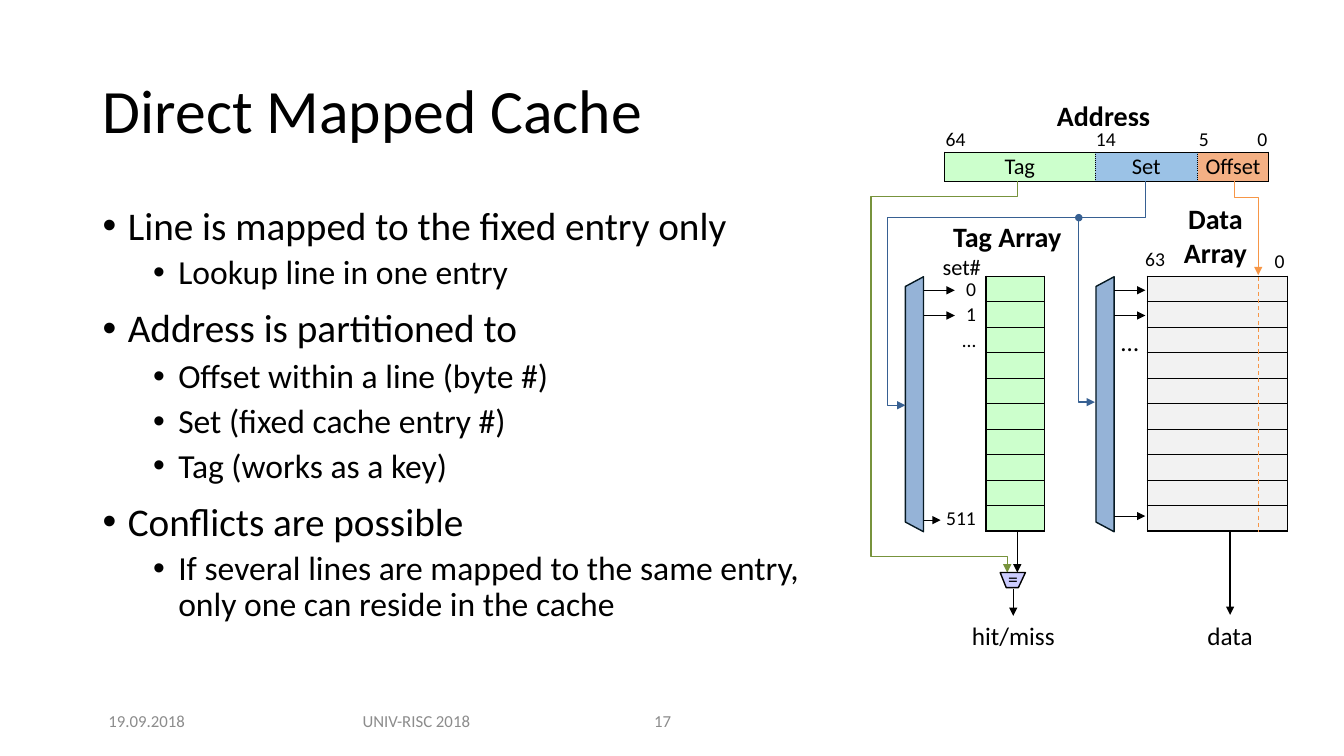
from lxml.etree import SubElement
from pptx import Presentation
from pptx.dml.color import RGBColor
from pptx.enum.dml import MSO_LINE
from pptx.enum.shapes import MSO_CONNECTOR, MSO_SHAPE
from pptx.enum.text import MSO_ANCHOR, PP_ALIGN
from pptx.oxml.ns import qn
from pptx.util import Inches, Pt

LEFT, CENTER, RIGHT = PP_ALIGN.LEFT, PP_ALIGN.CENTER, PP_ALIGN.RIGHT
TOP, MIDDLE, BOTTOM = MSO_ANCHOR.TOP, MSO_ANCHOR.MIDDLE, MSO_ANCHOR.BOTTOM
STRAIGHT = MSO_CONNECTOR.STRAIGHT
DASH = MSO_LINE.DASH

BLACK = RGBColor(0x00, 0x00, 0x00)
WHITE = RGBColor(0xFF, 0xFF, 0xFF)
GRAY = RGBColor(0x8C, 0x8C, 0x8C)
LIGHT_GRAY = RGBColor(0xF2, 0xF2, 0xF2)
TAG_GREEN = RGBColor(0xCC, 0xFF, 0xCC)
SET_BLUE = RGBColor(0x9B, 0xC2, 0xE6)
OFFSET_ORANGE = RGBColor(0xF4, 0xB0, 0x84)
DECODER_BLUE = RGBColor(0x95, 0xB3, 0xD7)
DECODER_EDGE = RGBColor(0x06, 0x19, 0x22)
COMPARE_LILAC = RGBColor(0xCC, 0xCC, 0xFF)
TAG_LINE = RGBColor(0x77, 0x93, 0x3C)
SET_LINE = RGBColor(0x37, 0x60, 0x92)
OFFSET_LINE = RGBColor(0xF7, 0x96, 0x46)


def write(frame, text, size=14, bold=False, color=BLACK, align=LEFT, spacing=None, before=None):
    """Add one paragraph to a text frame."""
    paragraph = frame.add_paragraph() if frame.text else frame.paragraphs[0]
    paragraph.text = text
    paragraph.alignment = align
    paragraph.line_spacing = spacing
    if before is not None:
        paragraph.space_before = Pt(before)
    for run in paragraph.runs:
        run.font.name, run.font.size, run.font.bold = "Calibri", Pt(size), bold
        run.font.color.rgb = color
    if not text:
        SubElement(paragraph._p, qn("a:endParaRPr"), sz=str(size * 100))
    return paragraph


def stroke(shape, color, width=1, arrow=False, dash=None):
    """Set the outline of a shape or connector, without a shadow."""
    shape.line.color.rgb = color
    shape.line.width = Pt(width)
    if dash:
        shape.line.dash_style = dash
    properties = shape._element.spPr
    if arrow:
        SubElement(properties.find(qn("a:ln")), qn("a:tailEnd"), type="triangle")
    SubElement(properties, qn("a:effectLst"))


prs = Presentation()
prs.slide_width, prs.slide_height = Inches(13.33), Inches(7.5)
slide = prs.slides.add_slide(prs.slide_layouts[5])
shapes = slide.shapes

# Title
title = shapes.title
title.left, title.top, title.width, title.height = Inches(0.92), Inches(0.4), Inches(11.5), Inches(1.45)
title.text_frame.vertical_anchor = MIDDLE
write(title.text_frame, "Direct Mapped Cache", size=44, spacing=0.9)

# Bullet list: level, space before, text
points = [
    (0, 10, "Line is mapped to the fixed entry only"),
    (1, 5, "Lookup line in one entry"),
    (0, 12, "Address is partitioned to"),
    (1, 6, "Offset within a line (byte #)"),
    (1, 6, "Set (fixed cache entry #)"),
    (1, 6, "Tag (works as a key)"),
    (0, 12, "Conflicts are possible"),
    (1, 5, "If several lines are mapped to the same entry,\vonly one can reside in the cache"),
]
body = shapes.add_textbox(Inches(0.92), Inches(2), Inches(11.5), Inches(4.52)).text_frame
body.word_wrap = True
for level, before, text in points:
    point = write(body, text, size=28 - 4 * level, spacing=0.9, before=before)
    point.level = level
    bullet = point._p.get_or_add_pPr()
    bullet.set("marL", str(Inches(0.25 + 0.5 * level)))
    bullet.set("indent", str(-Inches(0.25)))
    SubElement(bullet, qn("a:buFont"), typeface="Arial")
    SubElement(bullet, qn("a:buChar"), char="•")

# Heading behind the address table
address_heading = shapes.add_textbox(Inches(9.95), Inches(0.93), Inches(1.99), Inches(0.44)).text_frame
address_heading.word_wrap = True
write(address_heading, "Address", size=20, bold=True, align=CENTER)

# Tag and data arrays, and the address fields
arrays = shapes.add_table(10, 4, Inches(9.11), Inches(2.74), Inches(3.66), Inches(2.53)).table
address = shapes.add_table(2, 5, Inches(9.37), Inches(1.25), Inches(3.21), Inches(0.55)).table
address.rows[0].height, address.rows[1].height = Inches(0.26), Inches(0.29)
for table, widths in ((arrays, (0.67, 0.58, 1.02, 1.39)), (address, (1.49, 0.51, 0.51, 0.35, 0.35))):
    table.first_row = table.horz_banding = False
    table._tbl.tblPr.find(qn("a:tableStyleId")).text = "{2D5ABB26-0587-4C30-8999-92F81FD0307C}"
    for column, width in zip(table.columns, widths):
        column.width = Inches(width)

# Cells: cell, text, size, align, anchor, right margin, fill, borders (width, dash)
solid, thin, dotted = (1, "solid"), (0.5, "solid"), (0.5, "sysDot")
cells = []
set_numbers = {0: "0", 1: "1", 2: "…", 9: "511"}
for row in range(10):
    entry = {"L": solid, "R": solid, "T": thin if row else solid, "B": thin if row < 9 else solid}
    for column, (fill, borders) in enumerate([
        (WHITE, {"R": solid}), (TAG_GREEN, entry),
        (WHITE, {"L": solid, "R": solid}), (LIGHT_GRAY, entry),
    ]):
        text = "" if column else set_numbers.get(row, "")
        cells.append((arrays.cell(row, column), text, 14, RIGHT, BOTTOM, 0.1, fill, borders))
for column, bit in enumerate(("64", "14", "", "5", "0")):
    align = RIGHT if column == 4 else LEFT
    cells.append((address.cell(0, column), bit, 14, align, MIDDLE, 0.01, WHITE, {"B": solid}))
for first, last, text, fill in ((0, 0, "Tag", TAG_GREEN), (1, 2, "Set", SET_BLUE), (3, 4, "Offset", OFFSET_ORANGE)):
    field = address.cell(1, first)
    if last > first:
        field.merge(address.cell(1, last))
    borders = {"L": dotted if first else solid, "R": dotted if last < 4 else solid, "T": solid, "B": solid}
    cells.append((field, text, 16, CENTER, MIDDLE, 0.01, fill, borders))

for cell, text, size, align, anchor, right, fill, borders in cells:
    cell.margin_left, cell.margin_top = Inches(0.01), Inches(0.01)
    cell.margin_right, cell.margin_bottom = Inches(right), 0
    cell.vertical_anchor = anchor
    write(cell.text_frame, text, size=size, align=align)
    for side, (width, dash) in borders.items():
        border = SubElement(cell._tc.get_or_add_tcPr(), qn("a:ln" + side), w=str(Pt(width)))
        SubElement(SubElement(border, qn("a:solidFill")), qn("a:srgbClr"), val=str(BLACK))
        SubElement(border, qn("a:prstDash"), val=dash)
    cell.fill.solid()
    cell.fill.fore_color.rgb = fill

# Set decoders with their select arrows: left edge, then arrow height and length
for decoder_left, last_y, last_length in ((8.98, 5.16, 0.17), (10.87, 5.12, 0.31)):
    decoder = shapes.add_shape(MSO_SHAPE.TRAPEZOID, Inches(decoder_left + 0.09 - 1.265), Inches(3.92),
                               Inches(2.53), Inches(0.18))
    decoder.rotation = 270
    decoder.adjustments[0] = 0.535
    decoder.fill.solid()
    decoder.fill.fore_color.rgb = DECODER_BLUE
    stroke(decoder, DECODER_EDGE)
    start = decoder_left + 0.18
    for y, length in ((2.88, 0.31), (3.13, 0.31), (last_y, last_length)):
        select = shapes.add_connector(STRAIGHT, Inches(start), Inches(y), Inches(start + length), Inches(y))
        stroke(select, BLACK, 0.75, arrow=True)

# Routes from the address fields, and the comparator outline
tag_route = [(10.09, 1.8), (10.09, 1.95), (8.64, 1.95), (8.64, 5.52), (9.99, 5.52), (9.99, 5.68)]
set_route = [(11.36, 1.8), (11.36, 2.16), (8.8, 2.16), (8.8, 4.02), (8.98, 4.02)]
set_branch = [(10.7, 2.16), (10.7, 3.99), (10.86, 3.99)]
offset_route = [(12.24, 1.8), (12.24, 1.96), (12.48, 1.96), (12.48, 2.73)]
comparator = [(10.17, 5.68), (10.1, 5.83), (9.98, 5.83), (9.92, 5.68)]
for route, color, width, fill in (
    (tag_route, TAG_LINE, 1, None), (set_route, SET_LINE, 1, None), (set_branch, SET_LINE, 1, None),
    (offset_route, OFFSET_LINE, 0.75, None), (comparator, BLACK, 1, COMPARE_LILAC),
):
    corners = [(Inches(x), Inches(y)) for x, y in route]
    builder = shapes.build_freeform(*corners[0])
    builder.add_line_segments(corners[1:], close=fill is not None)
    outline = builder.convert_to_shape()
    if fill:
        outline.fill.solid()
        outline.fill.fore_color.rgb = fill
    else:
        outline.fill.background()
    stroke(outline, color, width, arrow=fill is None)

junction = shapes.add_shape(MSO_SHAPE.OVAL, Inches(10.67), Inches(2.13), Inches(0.06), Inches(0.06))
junction.fill.solid()
junction.fill.fore_color.rgb = SET_LINE
stroke(junction, SET_LINE)

offset_column = shapes.add_connector(STRAIGHT, Inches(12.48), Inches(2.75), Inches(12.48), Inches(5.28))
stroke(offset_column, OFFSET_LINE, 0.75, dash=DASH)
tag_output = shapes.add_connector(STRAIGHT, Inches(10.09), Inches(5.27), Inches(10.09), Inches(5.68))
stroke(tag_output, BLACK, arrow=True)

# Results, each with the arrow that leads to it
for text, left, top, width, start_x, start_y, weight in (
    ("hit/miss", 9.54, 6.11, 1.02, 10.05, 5.84, 0.75), ("data", 11.87, 6.1, 0.66, 12.2, 5.27, 1),
):
    result = shapes.add_textbox(Inches(left), Inches(top), Inches(width), Inches(0.4))
    result.text_frame.word_wrap = False
    write(result.text_frame, text, size=18, align=CENTER)
    output = shapes.add_connector(STRAIGHT, Inches(start_x), Inches(start_y), Inches(start_x), Inches(top))
    output.end_connect(result, 0)
    stroke(output, BLACK, weight, arrow=True)

# Labels and footer: text, left, top, width, height, anchor, wrap, format
heading = {"size": 20, "bold": True, "align": CENTER}
footer = {"size": 12, "color": GRAY}
for text, left, top, width, height, anchor, wrap, style in (
    ("63", 11.26, 2.4, 0.4, 0.34, TOP, False, {}),
    ("0", 12.54, 2.42, 0.3, 0.34, TOP, False, {"align": RIGHT}),
    ("Tag Array", 9.07, 2.13, 1.84, 0.44, TOP, True, heading),
    ("Data\nArray", 11.64, 1.95, 0.83, 0.77, TOP, False, heading),
    ("…", 11.02, 3.19, 0.38, 0.4, TOP, False, {"size": 18}),
    ("=", 9.9, 5.58, 0.3, 0.34, TOP, False, {}),
    ("set#", 9.25, 2.46, 0.59, 0.37, TOP, False, {"size": 16}),
    ("19.09.2018", 0.92, 6.95, 1.07, 0.4, MIDDLE, True, footer | {"align": CENTER}),
    ("UNIV-RISC 2018", 3.34, 6.95, 1.58, 0.4, MIDDLE, True, footer | {"align": CENTER}),
    ("17", 6.39, 6.95, 0.79, 0.4, MIDDLE, True, footer),
):
    label = shapes.add_textbox(Inches(left), Inches(top), Inches(width), Inches(height)).text_frame
    label.word_wrap, label.vertical_anchor = wrap, anchor
    for line in text.split("\n"):
        write(label, line, **style)

prs.save("out.pptx")
